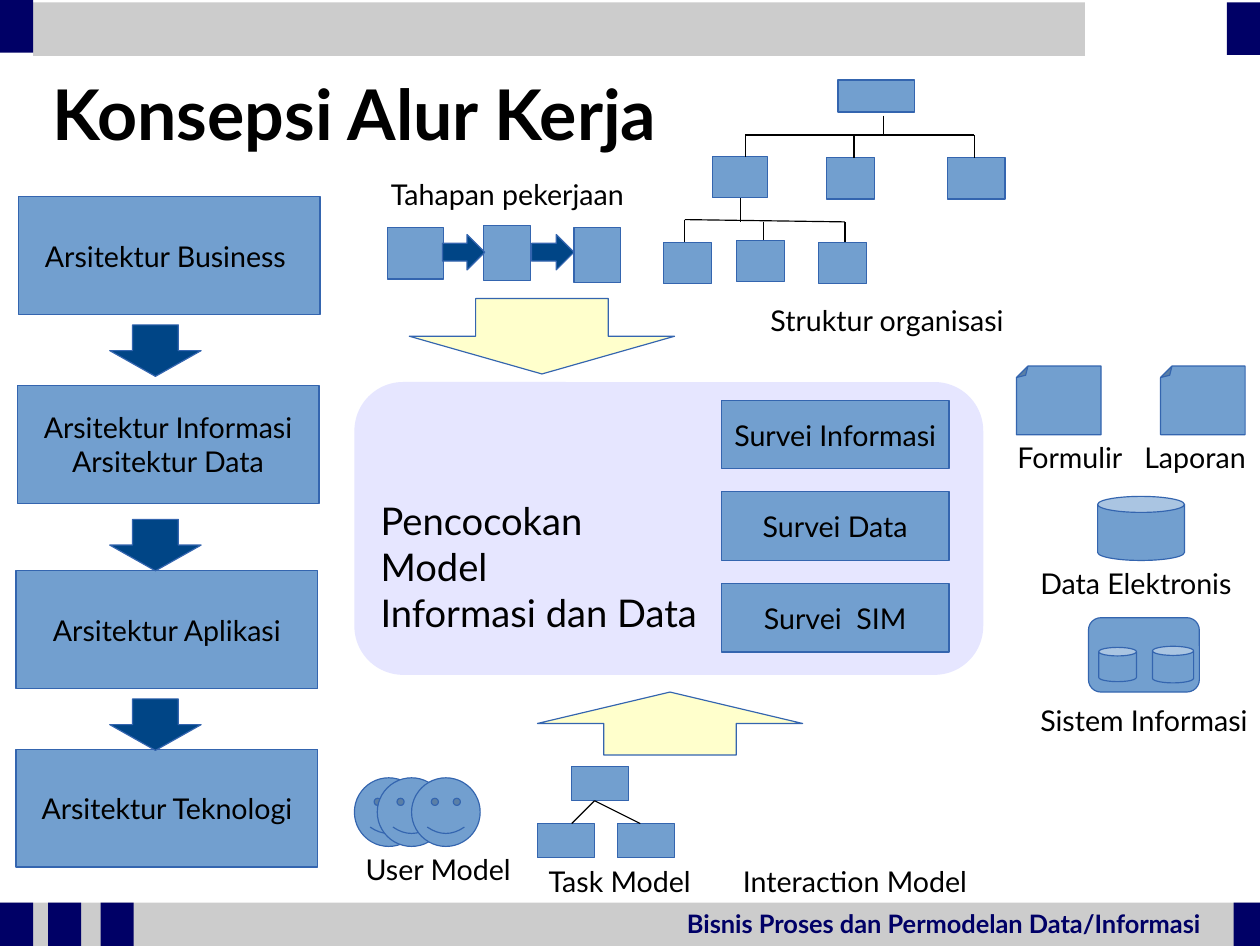
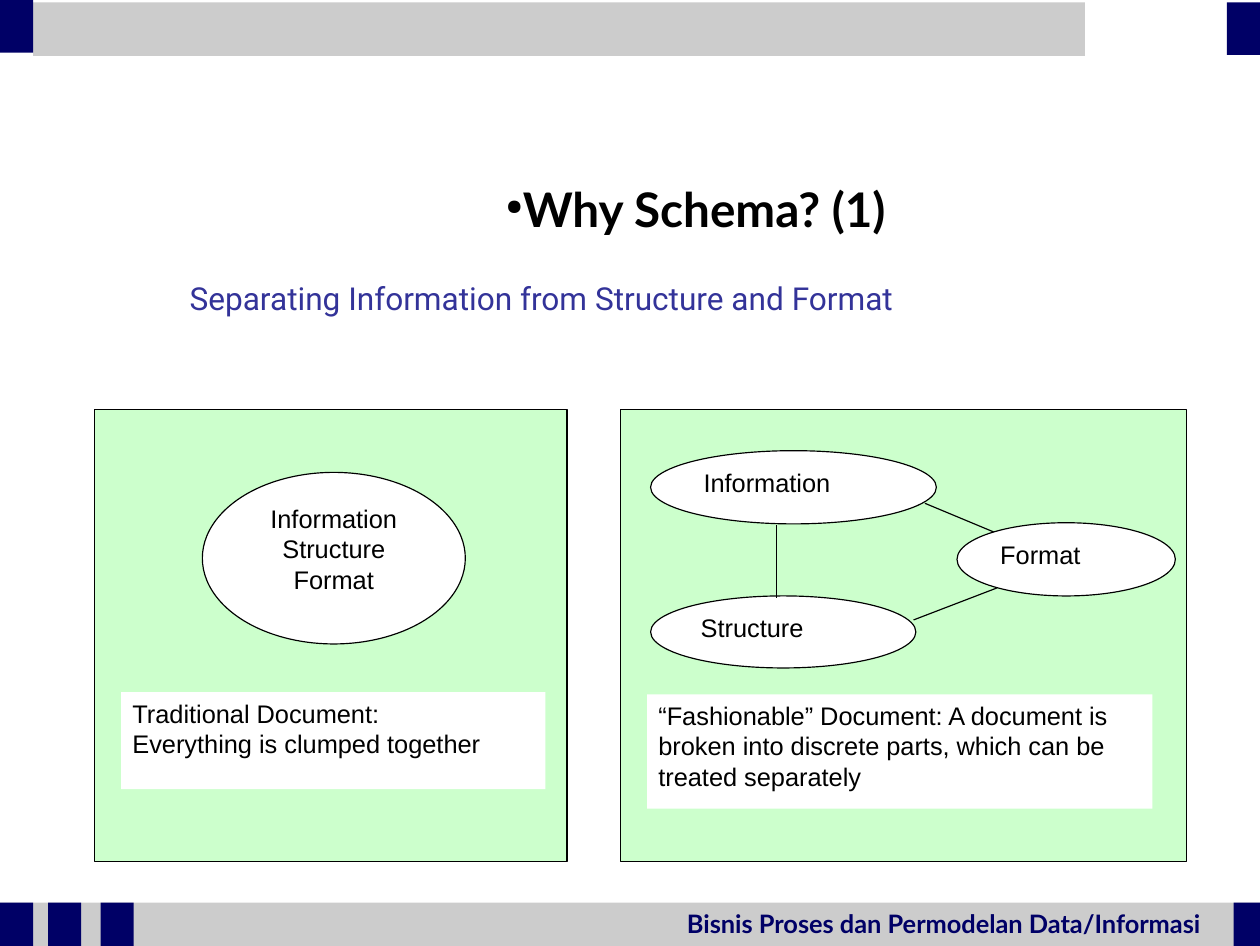
"""Build two slides on workflow concepts and schemas, measured in cells of a tenth of an inch."""
from lxml.etree import SubElement
from pptx import Presentation
from pptx.dml.color import RGBColor
from pptx.enum.shapes import MSO_CONNECTOR as Connector, MSO_SHAPE as Shape
from pptx.enum.text import MSO_ANCHOR as Anchor, PP_ALIGN as Align
from pptx.oxml.ns import qn
from pptx.util import Inches, Pt

CELL = Inches(0.1)
COLUMNS, ROWS = 110.2, 82.7
COLORS = {
    "navy": "000066", "grey": "CCCCCC", "black": "000000", "white": "FFFFFF",
    "blue": "729FCF", "outline": "3465AF", "deep": "004586", "cream": "FFFFCC",
    "lavender": "E6E6FF", "green": "CCFFCC", "indigo": "333399",
}


def add_figure(slide, kind, box, fill=None, line=None, lines=(), size=18, font="Lato",
               color="black", bold=False, align=Align.LEFT, anchor=Anchor.TOP, wrap=True):
    """Add a preset shape, or a text box when kind is None, with its text."""
    place = [round(cells * CELL) for cells in box]
    if kind is None:
        shape = slide.shapes.add_textbox(*place)
    else:
        shape = slide.shapes.add_shape(kind, *place)
        shape.shadow.inherit = False
        shape.fill.solid()
        shape.fill.fore_color.rgb = RGBColor.from_string(COLORS[fill])
        if line:
            shape.line.color.rgb = RGBColor.from_string(COLORS[line])
            shape.line.width = Pt(0.75)
        else:
            shape.line.fill.background()
    frame = shape.text_frame
    frame.word_wrap = wrap
    frame.vertical_anchor = anchor
    if align == Align.LEFT:
        frame.margin_right = 0
    for index, text in enumerate(lines):
        paragraph = frame.add_paragraph() if index else frame.paragraphs[0]
        paragraph.text = text
        paragraph.alignment = align
        paragraph.font.size = Pt(size)
        paragraph.font.name = font
        paragraph.font.bold = bold
        paragraph.font.color.rgb = RGBColor.from_string(COLORS[color])
    return shape


def add_line(slide, *ends):
    """Add a thin black line between two points."""
    connector = slide.shapes.add_connector(
        Connector.STRAIGHT, *[round(cells * CELL) for cells in ends])
    connector.line.color.rgb = RGBColor.from_string(COLORS["black"])
    connector.line.width = Pt(0.75)
    SubElement(connector._element.spPr, qn("a:effectLst"))


presentation = Presentation()
presentation.slide_width = round(COLUMNS * CELL)
presentation.slide_height = round(ROWS * CELL)

BANDS = [
    ("grey", (0, 78.9, COLUMNS, 3.8)),
    ("navy", (107.9, 78.9, 2.3, 3.8)),
    ("navy", (0, 78.9, 2.9, 3.8)),
    ("navy", (4.2, 78.9, 2.9, 3.8)),
    ("navy", (8.8, 78.9, 2.9, 3.8)),
    ("grey", (2.9, 0.2, 92, 4.7)),
    ("navy", (107.3, 0.2, 2.9, 4.6)),
    ("navy", (0, 0, 2.9, 4.6)),
]
for _ in range(2):
    slide = presentation.slides.add_slide(presentation.slide_layouts[6])
    for fill, box in BANDS:
        add_figure(slide, Shape.RECTANGLE, box, fill)
    add_figure(slide, None, (59.1, 78.9, 47.2, 3.6), size=16, color="navy", bold=True,
               lines=["Bisnis Proses dan Permodelan Data/Informasi"])
workflow, schema = presentation.slides

BLUE = {"fill": "blue", "line": "outline"}
CENTRED = {"align": Align.CENTER, "anchor": Anchor.MIDDLE}

add_figure(workflow, None, (1.5, 5.6, 60.5, 8.4), lines=["Konsepsi Alur Kerja "],
           size=44, bold=True, **CENTRED)

ARCHITECTURES = [
    (1.6, 17.2, ["Arsitektur Business "]),
    (1.5, 33.7, ["Arsitektur Informasi", "Arsitektur Data"]),
    (1.4, 49.9, ["Arsitektur Aplikasi"]),
    (1.4, 65.5, ["Arsitektur Teknologi"]),
]
for left, top, lines in ARCHITECTURES:
    add_figure(workflow, Shape.RECTANGLE, (left, top, 26.4, 10.3), lines=lines,
               wrap=False, **BLUE, **CENTRED)
for top in (28.4, 45.4, 61.1):
    add_figure(workflow, Shape.DOWN_ARROW, (9.6, top, 8, 4.5), "deep", "outline")

STEPS = [(33.9, 19.9, 4.9, 4.5), (42.3, 19.7, 4.1, 4.8), (50.2, 19.9, 4.1, 4.8)]
ORGANISATION = [
    (73.3, 7, 6.7, 2.8),
    (62.3, 13.7, 4.8, 3.6), (72.3, 13.8, 4.2, 3.6), (82.9, 13.8, 5, 3.6),
    (58, 21.2, 4.2, 3.6), (64.4, 21, 4.2, 3.6), (71.6, 21.2, 4.2, 3.6),
]
TASKS = [(50, 67, 5, 3), (47, 72, 5, 3), (54, 72, 5, 3)]
for box in STEPS + ORGANISATION + TASKS:
    add_figure(workflow, Shape.RECTANGLE, box, **BLUE)
for left in (38.7, 46.5):
    add_figure(workflow, Shape.RIGHT_ARROW, (left, 20.5, 3.7, 3.1), "deep", "outline")

LINKS = [
    (77.3, 10.1, 77.3, 11.8), (65.2, 11.8, 85.2, 11.8),
    (65.2, 11.8, 65.2, 13.7), (74.7, 11.8, 74.7, 13.8), (85.2, 11.8, 85.2, 13.8),
    (64.8, 17.3, 64.8, 19.4), (59.9, 19.2, 73.9, 19.4),
    (59.9, 19.2, 59.9, 21.2), (66.8, 19.4, 66.8, 21), (73.9, 19.4, 73.9, 21.2),
    (52, 70, 50, 72), (52, 70, 56, 72),
]
for ends in LINKS:
    add_line(workflow, *ends)

add_figure(workflow, Shape.ROUNDED_RECTANGLE, (31, 33.4, 55, 25.6), "lavender")
add_figure(workflow, None, (32.3, 43, 30.5, 13),
           lines=["Pencocokan\vModel", "Informasi dan Data"], size=24)
add_figure(workflow, Shape.DOWN_ARROW, (35.8, 26.1, 23.2, 6.6), "cream", "outline")
add_figure(workflow, Shape.UP_ARROW, (47, 60.5, 23.2, 5.5), "cream", "outline")
for index, text in enumerate(["Survei Informasi", "Survei Data", "Survei  SIM"]):
    add_figure(workflow, Shape.RECTANGLE, (63.1, 35 + 8 * index, 19.9, 6), lines=[text],
               wrap=False, **BLUE, **CENTRED)

for left in (88.9, 101.5):
    page = add_figure(workflow, Shape.FOLDED_CORNER, (left, 32, 7.4, 6), **BLUE)
    page.rotation = 180
add_figure(workflow, Shape.ROUNDED_RECTANGLE, (95.2, 54, 9.7, 6.5), **BLUE)
for box in [(96, 43.4, 7.6, 5.6), (96.1, 56.6, 3.3, 3), (100.8, 56.5, 3.6, 3.2)]:
    add_figure(workflow, Shape.CAN, box, **BLUE)
for left in (31, 33, 36):
    add_figure(workflow, Shape.SMILEY_FACE, (left, 68, 6, 6), **BLUE)

LABELS = [
    ("Tahapan pekerjaan", 33.2, 15, 22.8),
    ("Struktur organisasi", 66.4, 26, 22.8),
    ("Formulir", 88, 38, 11.5),
    ("Laporan", 99.1, 38, 10.9),
    ("Data Elektronis", 90, 49, 18.9),
    ("Sistem Informasi", 90, 61, 20.2),
    ("User Model", 31, 74, 15),
    ("Task Model", 47, 75, 15),
    ("Interaction Model", 64, 75, 21.7),
]
for text, left, top, width in LABELS:
    add_figure(workflow, None, (left, top, width, 4), lines=[text])

title = add_figure(schema, None, (13.9, 7.4, 93.9, 13.8), anchor=Anchor.BOTTOM,
                   align=Align.CENTER)
paragraph = title.text_frame.paragraphs[0]
paragraph.text = "Why Schema? (1)"
paragraph.alignment = Align.CENTER
properties = paragraph._p.get_or_add_pPr()
properties.set("marL", "0")
properties.set("indent", "0")
bullet_color = SubElement(properties, qn("a:buClr"))
SubElement(bullet_color, qn("a:srgbClr"), val=COLORS["black"])
SubElement(properties, qn("a:buSzPct"), val="45000")
SubElement(properties, qn("a:buChar"), char="●")
paragraph.font.size = Pt(30)
paragraph.font.name = "Lato"
paragraph.font.bold = True
paragraph.font.color.rgb = RGBColor.from_string(COLORS["black"])

add_figure(schema, None, (15.6, 23.9, 86.3, 4.3), size=19.9, font="Roboto", color="indigo",
           lines=["Separating Information from Structure and Format"])

for left, width in ((8.3, 41.3), (54.3, 49.5)):
    add_figure(schema, Shape.RECTANGLE, (left, 35.8, width, 39.5), "green", "black")

BODY = {"size": 16, "font": "Arial"}
add_figure(schema, Shape.OVAL, (17.7, 41.3, 23, 15), "white", "black",
           lines=["Information", "Structure", "Format"], align=Align.CENTER, **BODY)
PARTS = [
    ("Information", (56.9, 39.4, 25, 6.4)),
    ("Structure", (56.9, 52.1, 23.2, 6.3)),
    ("Format", (83.7, 45.7, 19.1, 6.4)),
]
for text, box in PARTS:
    add_figure(schema, Shape.OVAL, box, "white", "black", lines=[text], **BODY)
for ends in [(67.9, 45.9, 67.9, 52.3), (79.9, 54.2, 87.2, 51.4), (80.9, 44, 86.9, 46.5)]:
    add_line(schema, *ends)

CAPTIONS = [
    ((10.6, 60.5, 37.1, 8.5), ["Traditional Document:", "Everything is clumped together"]),
    ((56.6, 60.7, 44.2, 10), ["“Fashionable” Document: A document is broken into discrete "
                              "parts, which can be treated separately"]),
]
for box, lines in CAPTIONS:
    add_figure(schema, Shape.RECTANGLE, box, "white", lines=lines, **BODY)

presentation.save("out.pptx")
